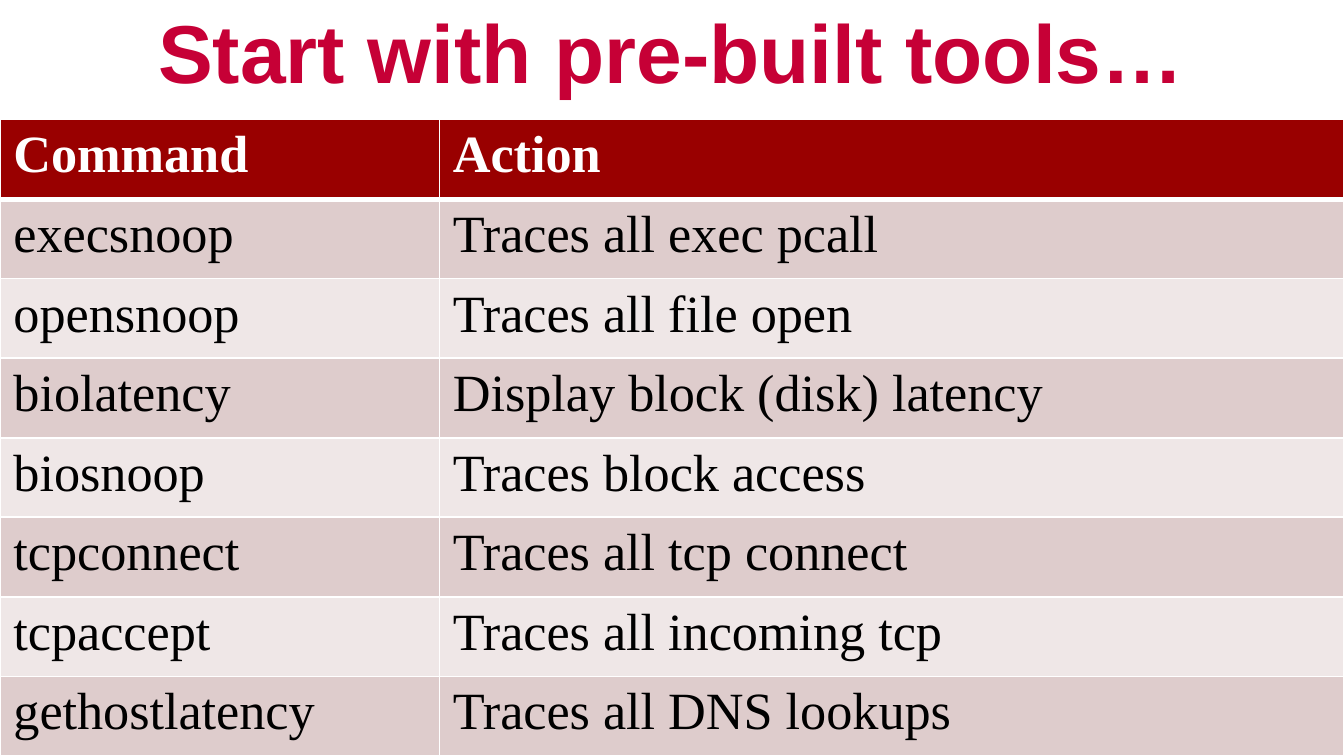
from lxml import etree
from pptx import Presentation
from pptx.dml.color import RGBColor
from pptx.enum.text import MSO_ANCHOR, PP_ALIGN
from pptx.oxml.ns import qn
from pptx.util import Inches, Pt

MIDDLE = MSO_ANCHOR.MIDDLE
CENTER = PP_ALIGN.CENTER
TITLE_ONLY = 5

COLORS = {
    "title": "C60036",
    "header": "990000",
    "band_dark": "DECCCC",
    "band_light": "EFE7E7",
    "white": "FFFFFF",
    "black": "000000",
}
ROWS = [
    ("Command", "Action"),
    ("execsnoop", "Traces all exec pcall"),
    ("opensnoop", "Traces all file open"),
    ("biolatency", "Display block (disk) latency"),
    ("biosnoop", "Traces block access"),
    ("tcpconnect", "Traces all tcp connect"),
    ("tcpaccept", "Traces all incoming tcp"),
    ("gethostlatency", "Traces all DNS lookups"),
]
COLUMN_SHARES = (0.327, 0.673)


def color(name):
    return RGBColor.from_string(COLORS[name])


def format_run(r, font, size, color_name, bold):
    r.font.name = font
    r.font.size = Pt(size)
    r.font.bold = bold
    r.font.color.rgb = color(color_name)


def set_borders(cell, widths):
    """Draw white cell borders; widths maps a:ln* tags to points."""
    tcPr = cell._tc.get_or_add_tcPr()
    for i, (tag, width) in enumerate(widths.items()):
        ln = etree.Element(qn(tag), w=str(Pt(width)))
        fill = etree.SubElement(ln, qn("a:solidFill"))
        etree.SubElement(fill, qn("a:srgbClr"), val=COLORS["white"])
        tcPr.insert(i, ln)  # borders come before the fill


def place_title(s, text, left, top, width, height):
    title = s.shapes.title
    title.left, title.top, title.width, title.height = left, top, width, height
    tf = title.text_frame
    tf.text = text
    tf.vertical_anchor = MIDDLE
    p = tf.paragraphs[0]
    p.alignment = CENTER
    format_run(p.runs[0], "Arial", 44, "title", True)


def place_command_table(s, rows, left, top, width, height):
    table = s.shapes.add_table(
        len(rows), len(COLUMN_SHARES), left, top, width, height).table
    for column, share in zip(table.columns, COLUMN_SHARES):
        column.width = int(width * share)
    for i, texts in enumerate(rows):
        header = i == 0
        band = "header" if header else "band_dark" if i % 2 else "band_light"
        widths = {"a:lnL": 1, "a:lnR": 1,
                  "a:lnT": 3 if i == 1 else 1, "a:lnB": 3 if header else 1}
        table.rows[i].height = height // len(rows)
        for cell, text in zip(table.rows[i].cells, texts):
            cell.text = text
            cell.fill.solid()
            cell.fill.fore_color.rgb = color(band)
            set_borders(cell, widths)
            format_run(cell.text_frame.paragraphs[0].runs[0], "Times New Roman",
                       28, "white" if header else "black", header)


def main():
    prs = Presentation()
    prs.slide_width = Inches(10)
    prs.slide_height = prs.slide_width * 9 // 16
    width, height = prs.slide_width, prs.slide_height
    s = prs.slides.add_slide(prs.slide_layouts[TITLE_ONLY])
    table_top = Inches(0.89)
    place_title(s, "Start with pre-built tools…", 0, 0, width, Inches(0.75))
    place_command_table(s, ROWS, 0, table_top, width, height - table_top)
    prs.save("out.pptx")


if __name__ == "__main__":
    main()
